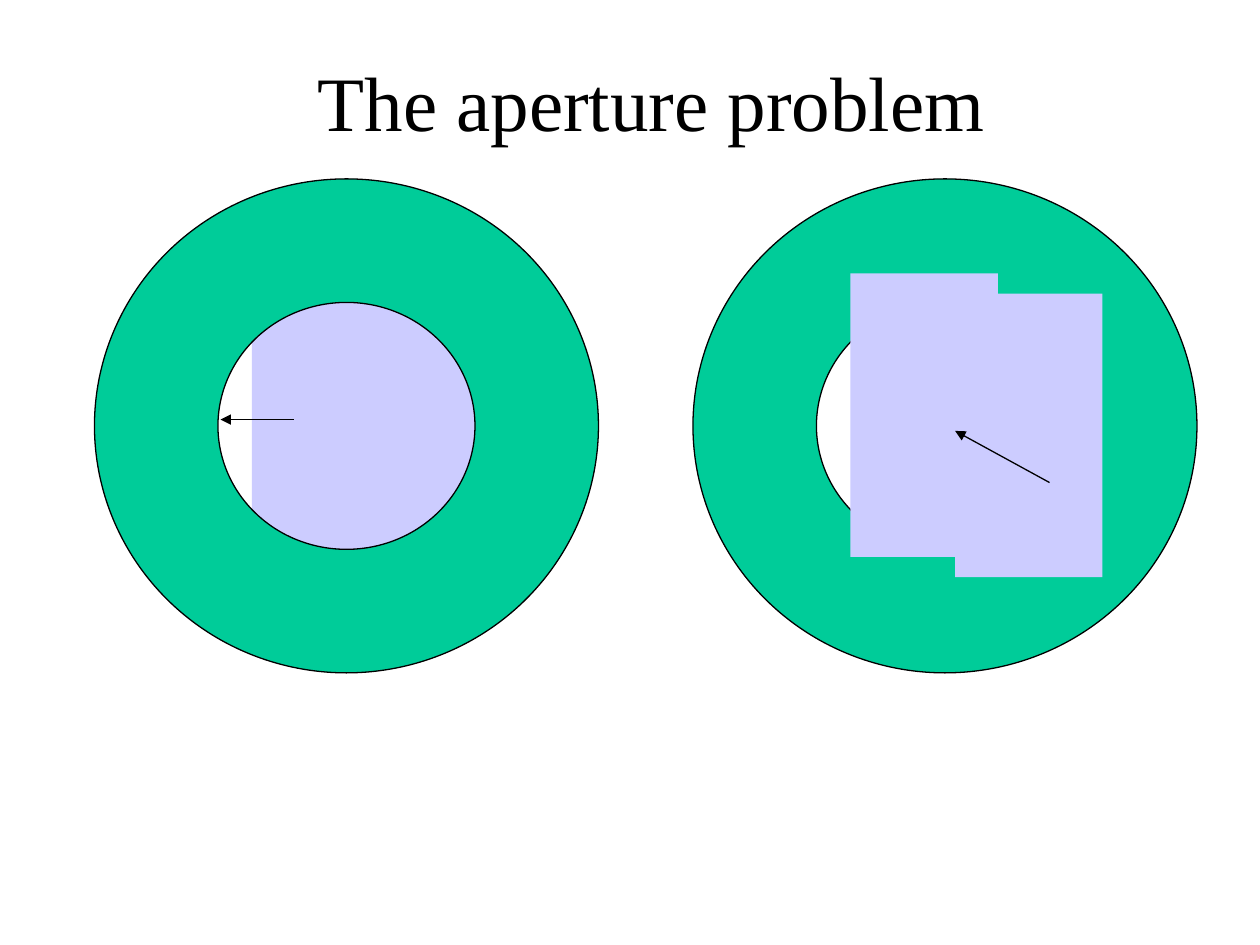
from pptx import Presentation
from pptx.dml.color import RGBColor
from pptx.enum.shapes import MSO_CONNECTOR as Connector, MSO_SHAPE as Shape
from pptx.enum.text import MSO_ANCHOR as Anchor, PP_ALIGN as Align
from pptx.oxml.ns import qn
from pptx.util import Inches, Pt
from lxml.etree import SubElement

BLACK = RGBColor(0x00, 0x00, 0x00)
GREEN = RGBColor(0x00, 0xCC, 0x99)
LAVENDER = RGBColor(0xCC, 0xCC, 0xFF)
FONT = "Times New Roman"


def add_title(slide, text, left, top, width, height):
    box = slide.shapes.add_textbox(*map(Inches, (left, top, width, height)))
    frame = box.text_frame
    frame.word_wrap = True
    frame.vertical_anchor = Anchor.MIDDLE
    paragraph = frame.paragraphs[0]
    paragraph.alignment = Align.CENTER
    run = paragraph.add_run()
    run.text = text
    run.font.name = FONT
    run.font.size = Pt(44)
    run.font.color.rgb = BLACK


def add_filled_shape(slide, kind, color, left, top, width, height):
    shape = slide.shapes.add_shape(kind, *map(Inches, (left, top, width, height)))
    shape.shadow.inherit = False
    shape.fill.solid()
    shape.fill.fore_color.rgb = color
    shape.line.fill.background()
    return shape


def add_moving_block(slide, left, top):
    add_filled_shape(slide, Shape.RECTANGLE, LAVENDER, left, top, 1.17, 2.25)


def add_aperture(slide, left):
    ring = add_filled_shape(slide, Shape.DONUT, GREEN, left, 1.42, 4, 3.92)
    ring.adjustments[0] = 0.25
    ring.line.color.rgb = BLACK
    ring.line.width = Pt(0.75)


def add_motion_arrow(slide, start, end):
    arrow = slide.shapes.add_connector(Connector.STRAIGHT, *map(Inches, start + end))
    arrow.line.color.rgb = BLACK
    arrow.line.width = Pt(0.75)
    properties = arrow._element.spPr
    SubElement(properties.find(qn("a:ln")), qn("a:tailEnd"), type="triangle")
    SubElement(properties, qn("a:effectLst"))


def main():
    """Build the slide on the aperture problem."""
    presentation = Presentation()
    presentation.slide_width = Inches(10)
    presentation.slide_height = Inches(7.5)
    slide = presentation.slides.add_slide(presentation.slide_layouts[6])

    add_moving_block(slide, 2, 2.17)
    add_title(slide, "The aperture problem", 0.92, 0.17, 8.5, 1.25)
    add_aperture(slide, 5.5)
    add_moving_block(slide, 7.58, 2.33)
    add_moving_block(slide, 6.75, 2.17)
    add_motion_arrow(slide, (8.33, 3.83), (7.58, 3.42))
    add_moving_block(slide, 2.83, 2.33)
    add_aperture(slide, 0.75)
    add_motion_arrow(slide, (2.33, 3.33), (1.75, 3.33))

    presentation.save("out.pptx")


if __name__ == "__main__":
    main()
